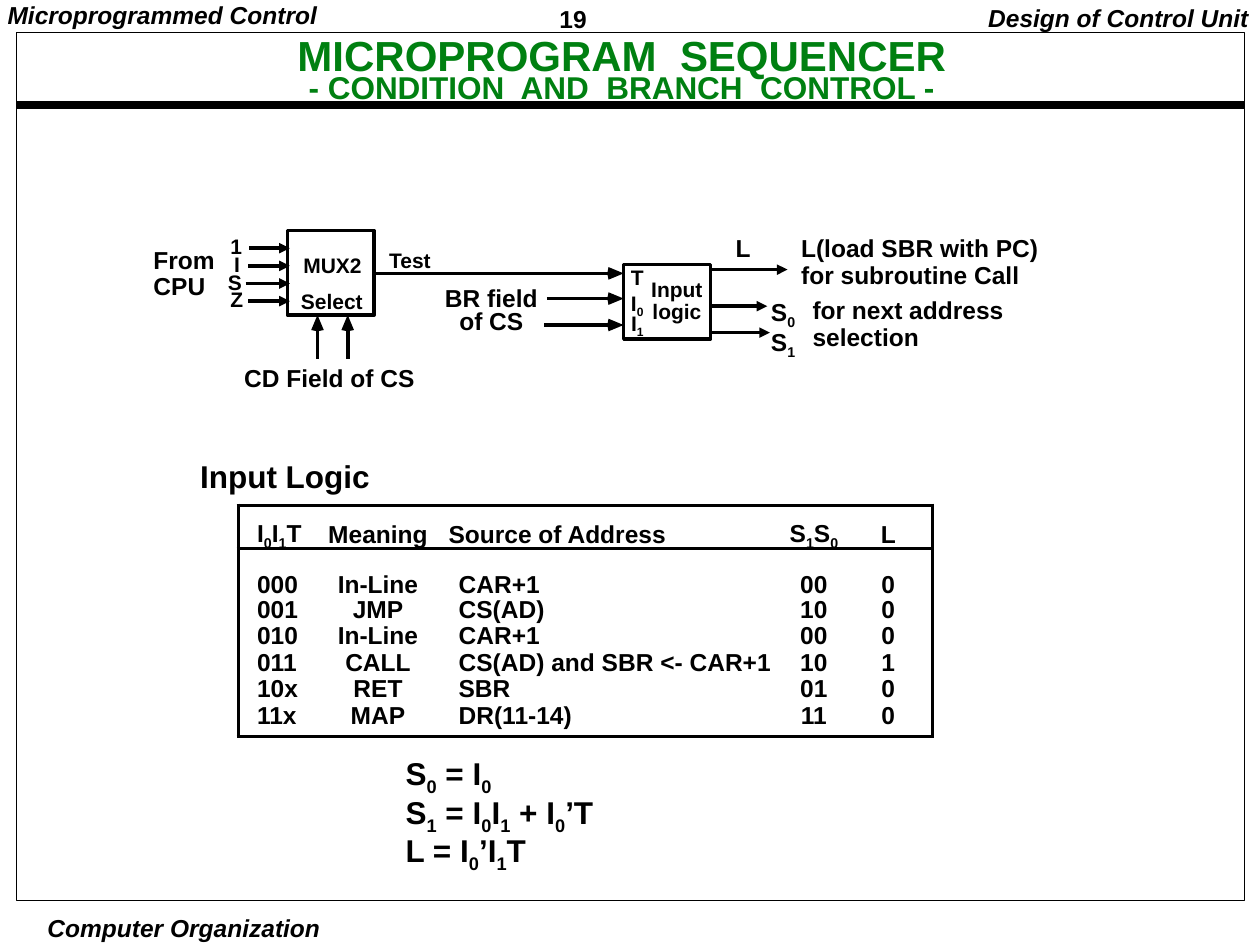
import dataclasses
import typing

import lxml.etree
import pptx
import pptx.dml.color
import pptx.enum.shapes
import pptx.enum.text
import pptx.oxml
import pptx.oxml.ns
import pptx.util

Inches = pptx.util.Inches
Pt = pptx.util.Pt
Align = pptx.enum.text.PP_ALIGN
Anchor = pptx.enum.text.MSO_ANCHOR
BLACK = "000000"
GREEN = "008011"


@dataclasses.dataclass
class Label:
    text: str
    left: float
    top: float
    width: float
    height: float
    size: float = 14
    align: Align = Align.LEFT
    spacing: float = 0.9
    insets: tuple[float, float] = (0.1, 0.05)
    wrap: bool = False
    italic: bool = False


@dataclasses.dataclass
class Wire:
    start: tuple[float, float]
    end: tuple[float, float]
    arrow: bool = False
    weight: float = 2


@dataclasses.dataclass
class Box:
    left: float
    top: float
    width: float
    height: float
    weight: float = 2


def colour(value: str) -> pptx.dml.color.RGBColor:
    return pptx.dml.color.RGBColor.from_string(value)


def apply(target: typing.Any, values: dict[str, typing.Any]) -> None:
    for name, value in values.items():
        setattr(target, name, value)


def add_run(paragraph, text: str, size: float, italic: bool = False, ink: str = BLACK):
    run = paragraph.add_run()
    run.text = text
    apply(run.font, {"name": "Arial", "size": Pt(size), "bold": True, "italic": italic})
    run.font.color.rgb = colour(ink)
    return run


def write(paragraph, text: str, size: float, italic: bool = False) -> None:
    first, *others = text.split("_")
    pieces = [(first, False)]
    for part in others:
        pieces += [(part[0], True), (part[1:], False)]
    for piece, lowered in pieces:
        if piece:
            run = add_run(paragraph, piece, size, italic)
            if lowered:
                run._r.get_or_add_rPr().set("baseline", "-25000")


def add_frame(slide, label: Label):
    shape = slide.shapes.add_textbox(*map(Inches, (label.left, label.top, label.width, label.height)))
    side, edge = map(Inches, label.insets)
    apply(shape.text_frame, {
        "margin_left": side, "margin_right": side, "margin_top": edge, "margin_bottom": edge,
        "word_wrap": label.wrap, "auto_size": pptx.enum.text.MSO_AUTO_SIZE.SHAPE_TO_FIT_TEXT,
    })
    return shape.text_frame


def add_label(slide, label: Label) -> None:
    frame = add_frame(slide, label)
    for index, line in enumerate(label.text.split("\n")):
        paragraph = frame.add_paragraph() if index else frame.paragraphs[0]
        apply(paragraph, {"alignment": label.align, "line_spacing": label.spacing})
        write(paragraph, line, label.size, label.italic)


def add_title(slide) -> None:
    frame = add_frame(slide, Label("", 0.89, 0.31, 8.09, 0.55, insets=(0.07, 0.03), wrap=True))
    apply(frame, {"auto_size": pptx.enum.text.MSO_AUTO_SIZE.NONE, "vertical_anchor": Anchor.MIDDLE})
    paragraph = frame.paragraphs[0]
    apply(paragraph, {"alignment": Align.CENTER, "line_spacing": 0.7})
    add_run(paragraph, "MICROPROGRAM  SEQUENCER", 24, ink=GREEN)
    paragraph.add_line_break()
    add_run(paragraph, "- CONDITION  AND  BRANCH  CONTROL -", 18, ink=GREEN)


def add_wire(slide, wire: Wire) -> None:
    points = map(Inches, (*wire.start, *wire.end))
    connector = slide.shapes.add_connector(pptx.enum.shapes.MSO_CONNECTOR.STRAIGHT, *points)
    connector.line.width = Pt(wire.weight)
    connector.line.color.rgb = colour(BLACK)
    properties = connector._element.spPr
    if wire.arrow:
        tail = lxml.etree.SubElement(connector.line._get_or_add_ln(), pptx.oxml.ns.qn("a:tailEnd"))
        tail.set("type", "triangle")
    lxml.etree.SubElement(properties, pptx.oxml.ns.qn("a:effectLst"))


def add_box(slide, box: Box) -> None:
    edges = map(Inches, (box.left, box.top, box.width, box.height))
    shape = slide.shapes.add_shape(pptx.enum.shapes.MSO_SHAPE.RECTANGLE, *edges)
    shape.shadow.inherit = False
    shape.fill.background()
    shape.line.color.rgb = colour(BLACK)
    shape.line.width = Pt(box.weight)


def add_arrowhead(slide, x: float, y: float, upward: bool) -> None:
    outline = [(0, 0), (-0.12, -0.05), (-0.13, 0), (-0.12, 0.05)]
    points = [(x - b, y - a) if upward else (x + a, y + b) for a, b in outline]
    builder = slide.shapes.build_freeform(*map(Inches, points[0]), scale=1.0)
    builder.add_line_segments([tuple(map(Inches, point)) for point in points[1:]])
    shape = builder.convert_to_shape()
    shape.shadow.inherit = False
    shape.fill.solid()
    shape.fill.fore_color.rgb = colour(BLACK)
    shape.line.fill.background()


def set_borders(cell, drawn: dict[str, bool]) -> None:
    properties = cell._tc.get_or_add_tcPr()
    for side, visible in drawn.items():
        fill = f'<a:solidFill><a:srgbClr val="{BLACK}"/></a:solidFill>' if visible else "<a:noFill/>"
        namespace = pptx.oxml.ns.nsdecls("a")
        properties.append(pptx.oxml.parse_xml(f'<a:ln{side} {namespace} w="25400">{fill}</a:ln{side}>'))


def add_logic_table(slide) -> None:
    rows = [
        ("I_0I_1T", "Meaning", "Source of Address", "S_1S_0", "L"),
        ("000", "In-Line", "CAR+1", "00", "0"),
        ("001", "JMP", "CS(AD)", "10", "0"),
        ("010", "In-Line", "CAR+1", "00", "0"),
        ("011", "CALL", "CS(AD) and SBR <- CAR+1", "10", "1"),
        ("10x", "RET", "SBR", "01", "0"),
        ("11x", "MAP", "DR(11-14)", "11", "0"),
    ]
    widths = [0.61, 1, 2.72, 0.48, 0.7]
    heights = [0.34, 0.4] + [0.21] * 4 + [0.26]
    anchors = [Anchor.BOTTOM] * 2 + [Anchor.TOP] * 5
    graphic = slide.shapes.add_table(7, 5, *map(Inches, (1.89, 4.01, sum(widths), sum(heights))))
    table = graphic.table
    apply(table, {"first_row": False, "horz_banding": False})
    for column, width in zip(table.columns, widths):
        column.width = Inches(width)
    for row, values in enumerate(rows):
        table.rows[row].height = Inches(heights[row])
        for column, text in enumerate(values):
            cell = table.cell(row, column)
            indent = {0: 0.15, 2: 0.14 if row else 0.06}.get(column, 0)
            apply(cell, {"margin_left": Inches(indent), "margin_right": 0, "margin_top": 0,
                         "margin_bottom": 0, "vertical_anchor": anchors[row]})
            paragraph = cell.text_frame.paragraphs[0]
            apply(paragraph, {"alignment": Align.LEFT if column in (0, 2) else Align.CENTER,
                              "line_spacing": 0.9})
            write(paragraph, text, 14)
            set_borders(cell, {"L": column == 0, "R": column == 4, "T": row < 2, "B": row in (0, 6)})
            cell.fill.background()


LABELS = [
    Label("19", 4.37, 0, 1.08, 0.29, spacing=1, insets=(0.07, 0.03)),
    Label("Microprogrammed Control", -0.01, 0, 2.6, 0.27, insets=(0.07, 0.03), italic=True),
    Label("Computer Organization", 0.26, 7.24, 2.4, 0.26, align=Align.CENTER, spacing=1,
          insets=(0.03, 0.01), italic=True),
    Label("Design of Control Unit", 7.74, 0, 2.27, 0.31, align=Align.RIGHT, italic=True),
    Label("Input", 5.07, 2.17, 0.61, 0.28, 12),
    Label("logic", 5.08, 2.34, 0.59, 0.28, 12),
    Label("T", 4.91, 2.07, 0.3, 0.28, 12),
    Label("I_0", 4.91, 2.26, 0.3, 0.3, 12),
    Label("I_1", 4.91, 2.42, 0.31, 0.3, 12, wrap=True),
    Label("MUX2", 2.31, 1.98, 0.66, 0.28, 12),
    Label("Select", 2.29, 2.26, 0.69, 0.28, 12),
    Label("Test", 2.99, 1.94, 0.54, 0.28, 12),
    Label("CD Field of CS", 1.74, 2.86, 1.75, 0.31, align=Align.CENTER),
    Label("From\nCPU", 1.12, 1.92, 0.74, 0.52),
    Label("BR field\nof CS", 3.43, 2.24, 0.94, 0.47, align=Align.CENTER, spacing=0.8),
    Label("L", 5.74, 1.83, 0.32, 0.31),
    Label("L(load SBR with PC) for subroutine Call", 6.26, 1.83, 2.22, 0.52, wrap=True),
    Label("S_0\nS_1", 6.02, 2.31, 0.39, 0.58),
    Label("for next address\nselection", 6.35, 2.32, 1.72, 0.52),
    Label("S_0 = I_0\nS_1 = I_0I_1 + I_0’T\nL = I_0’I_1T", 3.12, 5.94, 1.69, 1.02, 18),
    Label("Input Logic", 1.49, 3.61, 1.55, 0.37, 18),
]
MUX_INPUTS = [("1", 1.73, 0.29, 1.98), ("I", 1.76, 0.24, 1.97),
              ("S", 1.71, 0.31, 1.95), ("Z", 1.73, 0.3, 1.97)]
for index, (name, left, width, wire_start) in enumerate(MUX_INPUTS):
    LABELS.append(Label(name, left, 1.83 + 0.14 * index, width, 0.28, 12))

BOXES = [Box(0.13, 0.26, 9.75, 6.89, 0.5), Box(4.95, 2.1, 0.69, 0.59), Box(2.28, 1.83, 0.69, 0.67)]
WIRES = [Wire((0.13, 0.83), (9.87, 0.83), weight=4.5)]
WIRES += [Wire((start, 1.97 + 0.14 * index), (2.3, 1.97 + 0.14 * index), True)
          for index, (name, left, width, start) in enumerate(MUX_INPUTS)]
WIRES += [Wire((5.64, y), (end, y), True) for y, end in [(2.14, 6.25), (2.43, 6.09), (2.64, 6.11)]]
LOGIC_INPUTS = [(2.98, 2.17), (4.34, 2.37), (4.32, 2.58)]
SELECT_INPUTS = [2.52, 2.76]
WIRES += [Wire((start, y), (4.85, y)) for start, y in LOGIC_INPUTS]
WIRES += [Wire((x, 2.59), (x, 2.85)) for x in SELECT_INPUTS]

presentation = pptx.Presentation()
apply(presentation, {"slide_width": Inches(10), "slide_height": Inches(7.5)})
slide = presentation.slides.add_slide(presentation.slide_layouts[6])
for box in BOXES:
    add_box(slide, box)
for wire in WIRES:
    add_wire(slide, wire)
for start, y in LOGIC_INPUTS:
    add_arrowhead(slide, 4.95, y, False)
for x in SELECT_INPUTS:
    add_arrowhead(slide, x, 2.5, True)
add_title(slide)
add_logic_table(slide)
for label in LABELS:
    add_label(slide, label)
presentation.save("out.pptx")
